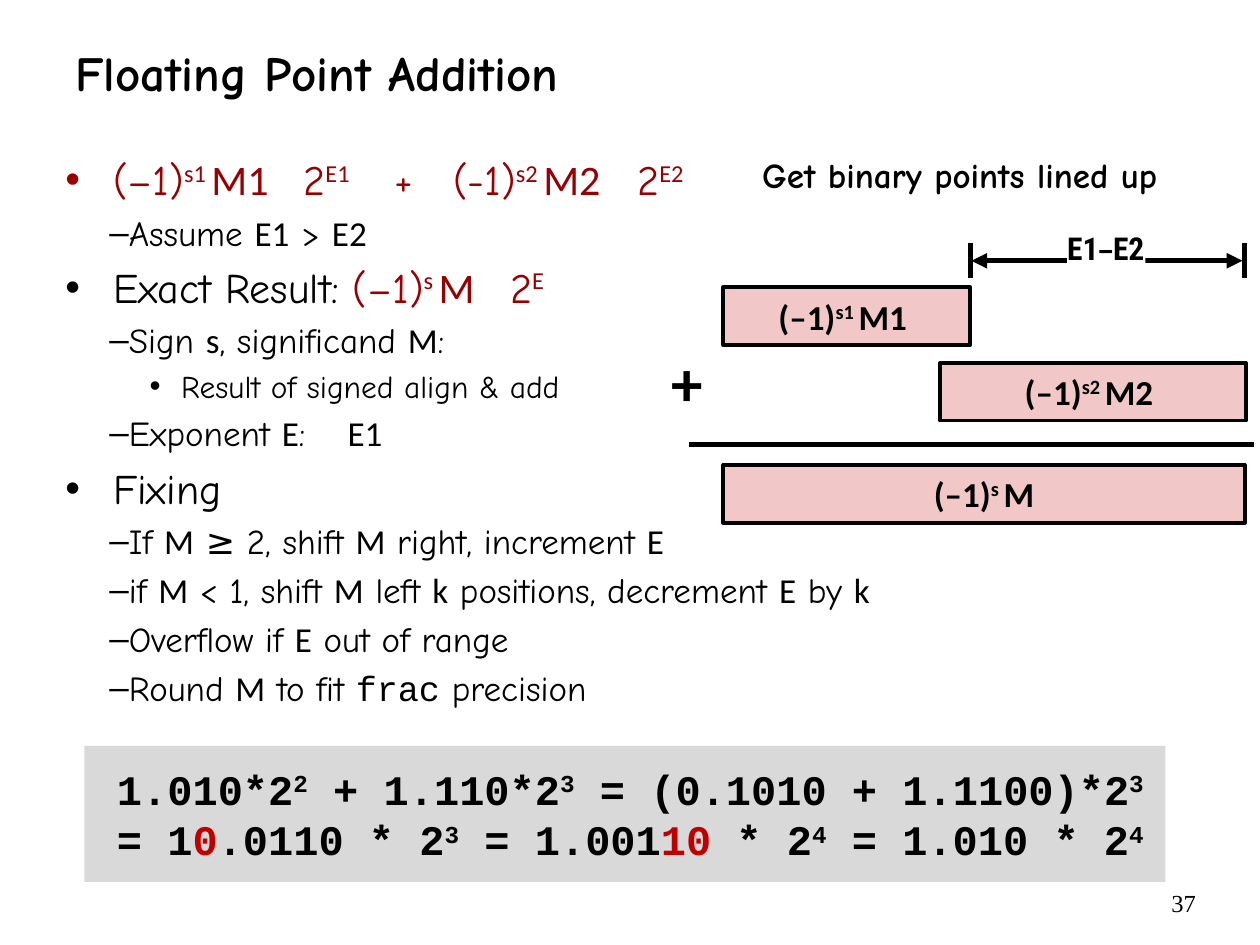
from lxml.etree import SubElement
from pptx import Presentation
from pptx.dml.color import RGBColor
from pptx.enum.shapes import MSO_CONNECTOR, MSO_SHAPE
from pptx.enum.text import MSO_ANCHOR, MSO_AUTO_SIZE, PP_ALIGN
from pptx.oxml.ns import qn
from pptx.util import Inches, Pt

BLACK = RGBColor(0x00, 0x00, 0x00)
WHITE = RGBColor(0xFF, 0xFF, 0xFF)
MAROON = RGBColor(0x98, 0x00, 0x02)
RED = RGBColor(0xC0, 0x00, 0x00)
PINK = RGBColor(0xF1, 0xC7, 0xC7)
GREY = RGBColor(0xD9, 0xD9, 0xD9)

# One letter of a run's style sets its face, colour or rise
FACES = {"t": "Comic Neue", "m": "Calibri", "c": "Courier New",
         "r": "Roboto Condensed", "a": "Arial Narrow", "n": "Times New Roman"}
COLORS = {"d": MAROON, "h": RED}
RISES = {"^": "32000", "'": "30000"}

# Outline levels: left margin, hanging indent, size, bullet
LEVELS = [(0.38, -0.38, 24, "•"), (0.35, 0, 20, "–"), (0.92, -0.25, 18, "•")]

# Level, tab stops, runs
POINTS = [
    (0, [1.89, 2.61, 3.08, 4.54],
     [("(–1)", "td"), ("s1 ", "md^"), ("M1", "md"), ("\t2", "td"), ("E1", "md^"),
      ("\t+\t(-1)", "td"), ("s2 ", "md^"), ("M2", "md"), ("\t2", "td"),
      ("E2", "md^")]),
    (1, [], [("Assume ", "t"), ("E1", "m"), (" > ", "t"), ("E2", "m")]),
    (0, [3.53],
     [("Exact Result: ", "t"), ("(–1)", "td"), ("s ", "md^"), ("M", "md"),
      ("\t2", "td"), ("E", "md^")]),
    (1, [], [("Sign ", "t"), ("s", "m"), (", significand ", "t"), ("M", "m"),
             (":", "t")]),
    (2, [], [("Result of signed align & add", "t")]),
    (1, [2.24], [("Exponent ", "t"), ("E", "m"), (":\t", "t"), ("E1", "m")]),
    (0, [], [("Fixing", "t")]),
    (1, [], [("If ", "t"), ("M", "m"), (" ≥ 2, shift ", "t"), ("M", "m"),
             (" right, increment ", "t"), ("E", "m")]),
    (1, [], [("if ", "t"), ("M", "m"), (" < 1, shift ", "t"), ("M", "m"),
             (" left ", "t"), ("k", "m"), (" positions, decrement ", "t"),
             ("E", "m"), (" by ", "t"), ("k", "m")]),
    (1, [], [("Overflow if ", "t"), ("E", "m"), (" out of range", "t")]),
    (1, [], [("Round ", "t"), ("M", "m"), (" to fit ", "t"), ("frac", "c"),
             (" precision", "t")]),
]

SUMS = [
    [("1.010*2", "c"), ("2", "c'"), (" + 1.110*2", "c"), ("3", "c'"),
     (" = (0.1010 + 1.1100)*2", "c"), ("3", "c'")],
    [("= 1", "c"), ("0", "ch"), (".0110 * 2", "c"), ("3", "c'"),
     (" = 1.001", "c"), ("10", "ch"), (" * 2", "c"), ("4", "c'"),
     (" = 1.010 * 2", "c"), ("4", "c'")],
]


def grid(box, *cells):
    """Cells are tenths of an inch, counted from the box's corner."""
    return [Inches(start + cell / 10)
            for start, cell in zip((box[0], box[1], 0, 0), cells)]


def write(para, runs, size, bold=False):
    for text, style in runs:
        run = para.add_run()
        run.text = text
        font = run.font
        font.size, font.bold = Pt(size), bold
        font.color.rgb = BLACK
        for mark in style:
            if mark in FACES:
                font.name = FACES[mark]
            elif mark in COLORS:
                font.color.rgb = COLORS[mark]
            else:
                run._r.get_or_add_rPr().set("baseline", RISES[mark])


def label(slide, place, runs, size, bold=True, wrap=False, pad=True):
    shape = slide.shapes.add_textbox(*place)
    frame = shape.text_frame
    frame.word_wrap = wrap
    if not wrap:
        frame.auto_size = MSO_AUTO_SIZE.SHAPE_TO_FIT_TEXT
    if not pad:
        trim(frame)
    write(frame.paragraphs[0], runs, size, bold)
    return shape


def trim(frame):
    frame.margin_left = frame.margin_right = 0
    frame.margin_top = frame.margin_bottom = 0


def block(slide, place, fill, runs=None):
    shape = slide.shapes.add_shape(MSO_SHAPE.RECTANGLE, *place)
    shape.shadow.inherit = False
    shape.fill.solid()
    shape.fill.fore_color.rgb = fill
    if not runs:
        shape.line.fill.background()
        return
    shape.line.color.rgb, shape.line.width = BLACK, Pt(2)
    frame = shape.text_frame
    trim(frame)
    frame.vertical_anchor = MSO_ANCHOR.MIDDLE
    para = frame.paragraphs[0]
    para.alignment = PP_ALIGN.CENTER
    write(para, runs, 20, True)


def rule(slide, box, x1, y1, x2, y2, arrows=False):
    ends = grid(box, x1, y1) + grid(box, x2, y2)
    line = slide.shapes.add_connector(MSO_CONNECTOR.STRAIGHT, *ends)
    line.line.color.rgb, line.line.width = BLACK, Pt(3)
    if arrows:
        for end in ("headEnd", "tailEnd"):
            SubElement(line.line._get_or_add_ln(), qn("a:" + end), type="triangle")
    SubElement(line._element.spPr, qn("a:effectLst"))


def title(slide, box):
    shape = label(slide, grid(box, 0, 0, 90.8, 7), [("Floating Point Addition", "t")],
                  28, wrap=True)
    shape.text_frame.vertical_anchor = MSO_ANCHOR.MIDDLE


def outline(slide, box):
    frame = slide.shapes.add_textbox(*grid(box, 0, 0, 91.7, 47.5)).text_frame
    frame.word_wrap = True
    for i, (level, stops, runs) in enumerate(POINTS):
        para = frame.add_paragraph() if i else frame.paragraphs[0]
        left, hang, size, sign = LEVELS[level]
        para.level = level
        para.space_before = Pt(size / 5 if i else 0)
        props = para._p.get_or_add_pPr()
        props.set("marL", str(Inches(left)))
        props.set("indent", str(Inches(hang)))
        SubElement(props, qn("a:buFont"), typeface="Arial")
        SubElement(props, qn("a:buChar"), char=sign)
        if stops:
            tabs = SubElement(props, qn("a:tabLst"))
            for stop in stops:
                SubElement(tabs, qn("a:tab"), pos=str(Inches(stop)), algn="l")
        write(para, runs, size)


def diagram(slide, box):
    # Aligned operands and their sum: left, top, width, sign, name
    for x, y, wide, sign, name in [(4.1, 11.1, 19.6, "s1 ", "M1 "),
                                   (21.3, 17.1, 24.3, "s2 ", "M2 "),
                                   (4.1, 25.2, 41.4, "s ", "M")]:
        block(slide, grid(box, x, y, wide, 4.6), PINK,
              [("(–1)", "m"), (sign, "m^"), (name, "m")])
    # Span of the shift
    for x in (23.7, 45.5):
        rule(slide, box, x, 7.6, x, 10.4)
    rule(slide, box, 23.8, 9, 45.3, 9, arrows=True)
    span = label(slide, grid(box, 31.4, 6.5, 6.2, 3),
                 [("E1", "r"), ("–", "a"), ("E2", "r")], 18, pad=False)
    span.fill.solid()
    span.fill.fore_color.rgb = WHITE
    # Plus sign, sum line and heading
    label(slide, grid(box, 0, 15.6, 2.5, 6.1), [("+", "m")], 36, pad=False)
    rule(slide, box, 1.4, 23.6, 46.2, 23.6)
    label(slide, grid(box, 6.2, 0, 37.2, 4.4),
          [("Get binary points lined up", "t")], 20)


def example(slide, box):
    block(slide, grid(box, 0, 0, 85.8, 10.8), GREY)
    shape = label(slide, grid(box, 1.6, 0.9, 86.7, 9.1), SUMS[0], 24)
    write(shape.text_frame.add_paragraph(), SUMS[1], 24, True)


def number(slide, box):
    shape = label(slide, grid(box, 0, 0, 14.2, 2.8), [("37", "n")], 14,
                  bold=False, wrap=True)
    shape.text_frame.paragraphs[0].alignment = PP_ALIGN.RIGHT


def main():
    deck = Presentation()
    deck.slide_width, deck.slide_height = Inches(10), Inches(7.5)
    slide = deck.slides.add_slide(deck.slide_layouts[6])
    title(slide, (0.5, 0.22))
    outline(slide, (0.42, 1.17))
    diagram(slide, (5.33, 1.17))
    example(slide, (0.67, 5.92))
    number(slide, (8.17, 7))
    deck.save("out.pptx")


if __name__ == "__main__":
    main()
